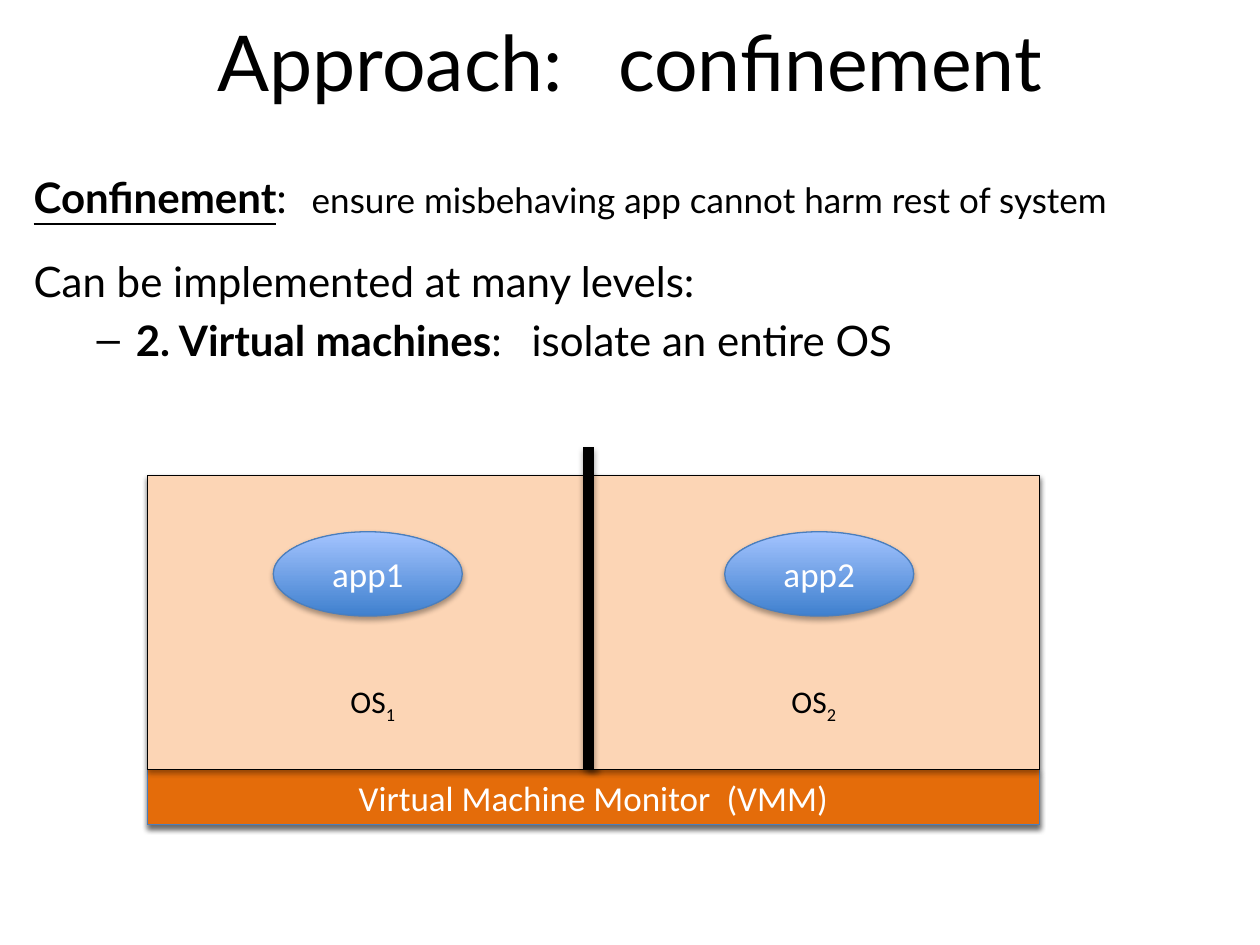
"""Build a slide on confinement by virtual machines."""
from typing import NamedTuple, Optional

from lxml import etree
from pptx import Presentation
from pptx import util as u
from pptx.dml.color import RGBColor
from pptx.enum import shapes, text
from pptx.oxml import ns, parse_xml

BLACK = RGBColor(0x00, 0x00, 0x00)
WHITE = RGBColor(0xFF, 0xFF, 0xFF)
PEACH = RGBColor(0xFC, 0xD5, 0xB5)
ORANGE = RGBColor(0xE4, 0x6C, 0x0A)
OUTLINE_BLUE = RGBColor(0x4B, 0x7E, 0xBC)
DEEP_BLUE = RGBColor(0x3F, 0x80, 0xCE)
LIGHT_BLUE = RGBColor(0xA4, 0xC4, 0xFF)
SPACE_WIDTH = 0.226

LEFT, TOP, WIDTH = 2.97, 9.58, 17.98
OS_WIDTH, OS_HEIGHT, MONITOR_HEIGHT = 9.09, 5.93, 1.12
SECOND_LEFT = LEFT + WIDTH - OS_WIDTH
MONITOR_TOP = TOP + OS_HEIGHT


class Block(NamedTuple):
    left: float
    top: float
    width: float
    height: float
    fill: Optional[RGBColor] = None
    line: RGBColor = OUTLINE_BLUE
    kind: shapes.MSO_SHAPE = shapes.MSO_SHAPE.RECTANGLE


def write(paragraph, words, *, size, font="Lato", color=BLACK, bold=False,
          underline=False, subscript=False, spaces=1):
    run = paragraph.add_run()
    run.text = words
    run.font.size = u.Pt(size)
    run.font.name = font
    run.font.color.rgb = color
    run.font.bold = bold
    run.font.underline = underline
    properties = run.font._element
    if subscript:
        properties.set("baseline", "-25000")
    if spaces > 1:
        properties.set("spc", str(round((spaces - 1) * SPACE_WIDTH * size * 100)))


def add_shadow(shape, opacity: int, distance: float) -> None:
    shape._element.spPr.append(parse_xml(
        f'<a:effectLst {ns.nsdecls("a")}>'
        f'<a:outerShdw blurRad="{u.Pt(3.15)}" dist="{u.Pt(distance)}" '
        'dir="5400000" rotWithShape="0"><a:srgbClr val="000000">'
        f'<a:alpha val="{opacity * 1000}"/></a:srgbClr></a:outerShdw></a:effectLst>'))


def draw_block(slide, block: Block):
    shape = slide.shapes.add_shape(
        block.kind, u.Cm(block.left), u.Cm(block.top), u.Cm(block.width), u.Cm(block.height))
    if block.fill is None:
        shape.fill.gradient()
        shape.fill.gradient_angle = 90
        for stop, color, position in zip(
                shape.fill.gradient_stops, (DEEP_BLUE, LIGHT_BLUE), (0, 1)):
            stop.color.rgb = color
            stop.position = position
    else:
        shape.fill.solid()
        shape.fill.fore_color.rgb = block.fill
    shape.line.color.rgb = block.line
    shape.line.width = u.Pt(0.75)
    add_shadow(shape, 35, 1.8)
    shape.text_frame.vertical_anchor = text.MSO_ANCHOR.MIDDLE
    paragraph = shape.text_frame.paragraphs[0]
    paragraph.alignment = text.PP_ALIGN.CENTER
    return shape, paragraph


def draw_system(slide, left: float, number: str) -> None:
    shape, paragraph = draw_block(
        slide, Block(left, TOP, OS_WIDTH, OS_HEIGHT, PEACH, BLACK))
    shape.text_frame.vertical_anchor = text.MSO_ANCHOR.BOTTOM
    shape.text_frame.margin_bottom = u.Cm(0.9)
    write(paragraph, "OS", size=18, font="Calibri")
    write(paragraph, number, size=18, font="Calibri", subscript=True)


def draw_app(slide, left: float, label: str) -> None:
    paragraph = draw_block(
        slide, Block(left, 10.72, 3.81, 1.7, kind=shapes.MSO_SHAPE.OVAL))[1]
    write(paragraph, label, size=20, font="Calibri", color=WHITE)


def draw_title(slide) -> None:
    title = slide.shapes.title
    title.left, title.top = u.Cm(1.27), u.Cm(-0.36)
    title.width, title.height = u.Cm(22.86), u.Cm(3.18)
    title.text_frame.vertical_anchor = text.MSO_ANCHOR.MIDDLE
    paragraph = title.text_frame.paragraphs[0]
    paragraph.alignment = text.PP_ALIGN.CENTER
    write(paragraph, "Approach:", size=44)
    write(paragraph, " ", size=44, spaces=3)
    write(paragraph, "confinement", size=44)


def draw_body(slide) -> None:
    frame = slide.shapes.add_textbox(
        u.Cm(0.43), u.Cm(3.33), u.Cm(24.13), u.Cm(15.67)).text_frame
    frame.word_wrap = True
    definition = frame.paragraphs[0]
    write(definition, "Confinement", size=24, bold=True, underline=True)
    write(definition, ":", size=24)
    write(definition, " ", size=20, spaces=3)
    write(definition, "ensure misbehaving app cannot harm rest of system", size=20)

    levels = frame.add_paragraph()
    levels.space_before = u.Pt(19.2)
    write(levels, "Can be implemented at many levels:", size=24)

    machines = frame.add_paragraph()
    machines.level = 1
    machines.space_before = u.Pt(4.8)
    properties = machines._p.get_or_add_pPr()
    properties.set("marL", str(u.Cm(2.06)))
    properties.set("indent", str(u.Cm(-0.79)))
    etree.SubElement(properties, ns.qn("a:buFont"), typeface="Arial")
    etree.SubElement(properties, ns.qn("a:buChar"), char="–")
    write(machines, "2. Virtual machines", size=24, bold=True)
    write(machines, ":", size=24)
    write(machines, " ", size=24, spaces=3)
    write(machines, "isolate an entire OS", size=24)


def draw_monitor(slide) -> None:
    paragraph = draw_block(
        slide, Block(LEFT, MONITOR_TOP, WIDTH, MONITOR_HEIGHT, ORANGE))[1]
    style = dict(size=20, font="Calibri", color=WHITE)
    write(paragraph, "Virtual Machine Monitor", **style)
    write(paragraph, " ", spaces=2, **style)
    write(paragraph, "(VMM)", **style)


def draw_divider(slide) -> None:
    divider = slide.shapes.add_connector(
        shapes.MSO_CONNECTOR.STRAIGHT, u.Cm(SECOND_LEFT), u.Cm(9.02),
        u.Cm(SECOND_LEFT), u.Cm(MONITOR_TOP))
    divider.line.color.rgb = BLACK
    divider.line.width = u.Pt(6)
    add_shadow(divider, 38, 1.6)


def main() -> None:
    presentation = Presentation()
    presentation.slide_width, presentation.slide_height = u.Cm(25.4), u.Cm(19.05)
    slide = presentation.slides.add_slide(presentation.slide_layouts[5])
    draw_title(slide)
    draw_body(slide)
    draw_block(slide, Block(LEFT, TOP, WIDTH, OS_HEIGHT + MONITOR_HEIGHT))
    draw_monitor(slide)
    for left, number in ((LEFT, "1"), (SECOND_LEFT, "2")):
        draw_system(slide, left, number)
    draw_divider(slide)
    for left, label in ((5.51, "app1"), (14.61, "app2")):
        draw_app(slide, left, label)
    presentation.save("out.pptx")


if __name__ == "__main__":
    main()
